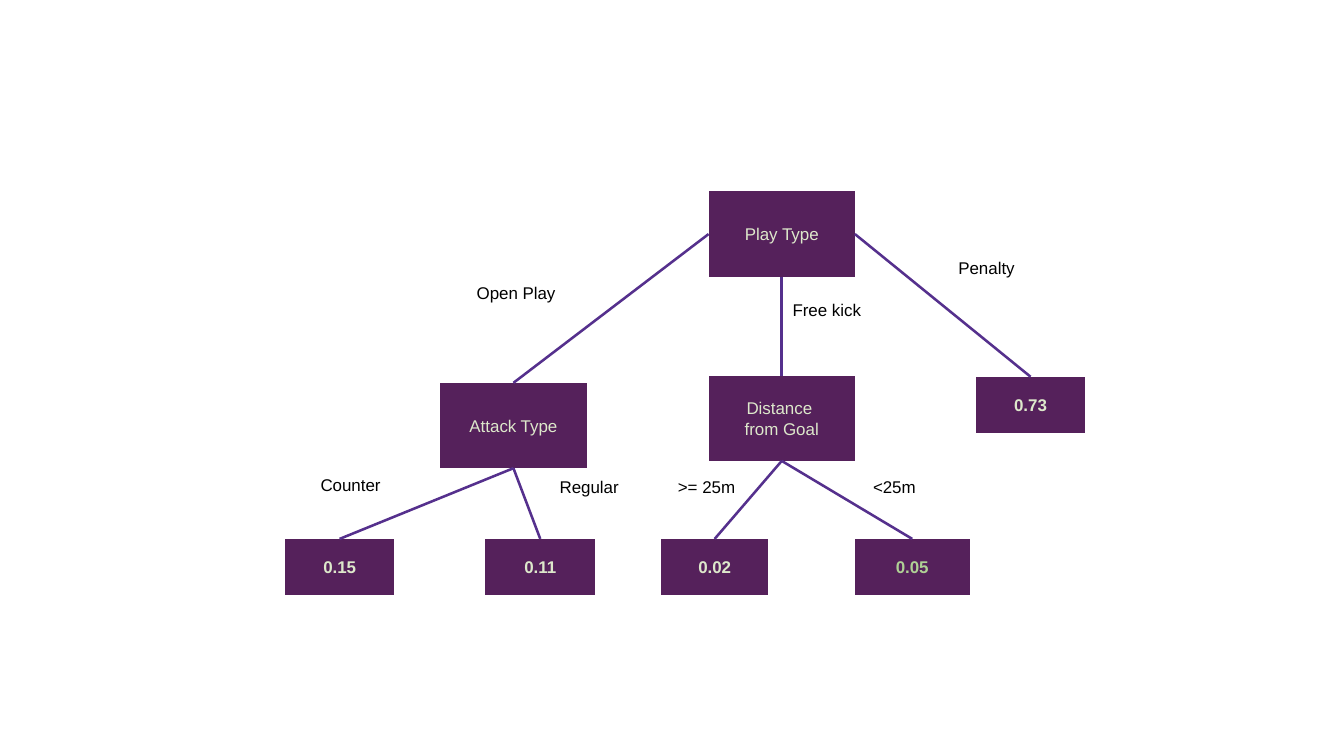
from pptx import Presentation
from pptx.dml.color import RGBColor
from pptx.enum.shapes import MSO_CONNECTOR, MSO_SHAPE
from pptx.enum.text import MSO_ANCHOR, PP_ALIGN
from pptx.util import Inches, Pt
from lxml import etree

BOX = MSO_SHAPE.FLOWCHART_PROCESS
LINE = MSO_CONNECTOR.STRAIGHT
MIDDLE, TOP_ANCHOR = MSO_ANCHOR.MIDDLE, MSO_ANCHOR.TOP
CENTER, START = PP_ALIGN.CENTER, PP_ALIGN.LEFT
TOP, LEFT, BOTTOM, RIGHT = range(4)  # connection sites of a box
A_NS = "http://schemas.openxmlformats.org/drawingml/2006/main"

# Content: questions are name, lines, left, top
QUESTIONS = [
    ("play", ["Play Type"], 5.81, 1.57),
    ("attack", ["Attack Type"], 3.61, 3.14),
    ("range", ["Distance ", "from Goal"], 5.81, 3.08),
]
# Results are name, value, left, top, width
RESULTS = [
    ("penalty", "0.73", 8.0, 3.09, 0.9),
    ("counter", "0.15", 2.34, 4.42, 0.89),
    ("regular", "0.11", 3.98, 4.42, 0.9),
    ("far", "0.02", 5.42, 4.42, 0.88),
    ("near", "0.05", 7.01, 4.42, 0.94),
]
# Branches are parent, site, child, label, label left, label top
BRANCHES = [
    ("play", LEFT, "attack", "Open Play", 3.81, 2.27),
    ("play", BOTTOM, "range", "Free kick", 6.4, 2.41),
    ("play", RIGHT, "penalty", "Penalty", 7.76, 2.06),
    ("attack", BOTTOM, "counter", "Counter", 2.53, 3.84),
    ("attack", BOTTOM, "regular", "Regular", 4.49, 3.86),
    ("range", BOTTOM, "far", ">= 25m", 5.46, 3.86),
    ("range", BOTTOM, "near", "<25m", 7.06, 3.86),
]
ACCENT = "near"

THEME = {
    "font": "Arial",
    "size": Pt(10),
    "box": RGBColor.from_string("55215B"),
    "line": RGBColor.from_string("55308D"),
    "light": RGBColor.from_string("DDE8CB"),
    "accent": RGBColor.from_string("AFD095"),
    "dark": RGBColor.from_string("000000"),
}
ASK_W, ASK_H = 1.2, 0.7
RESULT_H = 0.46
LABEL_W, LABEL_H = 0.95, 0.28


def write(shape, lines, color, bold=False, align=CENTER, anchor=MIDDLE):
    frame = shape.text_frame
    frame.word_wrap = True
    frame.vertical_anchor = anchor
    for i, line in enumerate(lines):
        para = frame.add_paragraph() if i else frame.paragraphs[0]
        para.alignment = align
        run = para.add_run()
        run.text = line
        font = run.font
        font.name, font.size, font.bold = THEME["font"], THEME["size"], bold
        font.color.rgb = color


def add_box(slide, lines, left, top, width, height, color, bold=False):
    box = slide.shapes.add_shape(
        BOX, Inches(left), Inches(top), Inches(width), Inches(height))
    box.shadow.inherit = False
    box.fill.solid()
    box.fill.fore_color.rgb = THEME["box"]
    box.line.fill.background()
    write(box, lines, color, bold)
    return box


def add_branch(slide, parent, site, child):
    link = slide.shapes.add_connector(LINE, 0, 0, 0, 0)
    link.begin_connect(parent, site)
    link.end_connect(child, TOP)
    link.line.color.rgb = THEME["line"]
    link.line.width = Pt(1.5)
    etree.SubElement(link._element.spPr, f"{{{A_NS}}}effectLst")


def add_label(slide, text, left, top):
    label = slide.shapes.add_textbox(
        Inches(left), Inches(top), Inches(LABEL_W), Inches(LABEL_H))
    write(label, [text], THEME["dark"], align=START, anchor=TOP_ANCHOR)


def main():
    deck = Presentation()
    deck.slide_width, deck.slide_height = Inches(11.02), Inches(6.2)
    slide = deck.slides.add_slide(deck.slide_layouts[6])

    # Tree nodes
    nodes = {}
    for name, lines, left, top in QUESTIONS:
        nodes[name] = add_box(
            slide, lines, left, top, ASK_W, ASK_H, THEME["light"])
    for name, value, left, top, width in RESULTS:
        color = THEME["accent" if name == ACCENT else "light"]
        nodes[name] = add_box(
            slide, [value], left, top, width, RESULT_H, color, bold=True)

    # Branches and their labels
    for parent, site, child, text, left, top in BRANCHES:
        add_branch(slide, nodes[parent], site, nodes[child])
        add_label(slide, text, left, top)

    deck.save("out.pptx")


if __name__ == "__main__":
    main()
